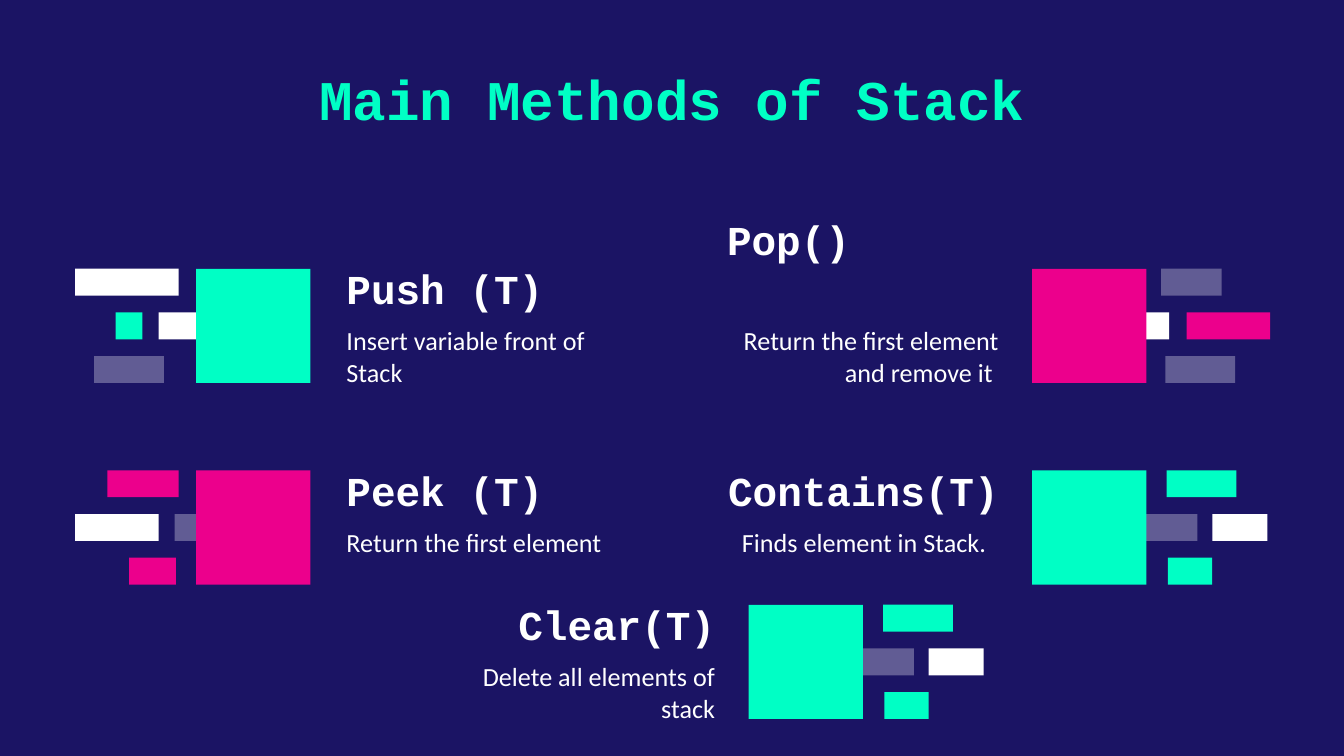
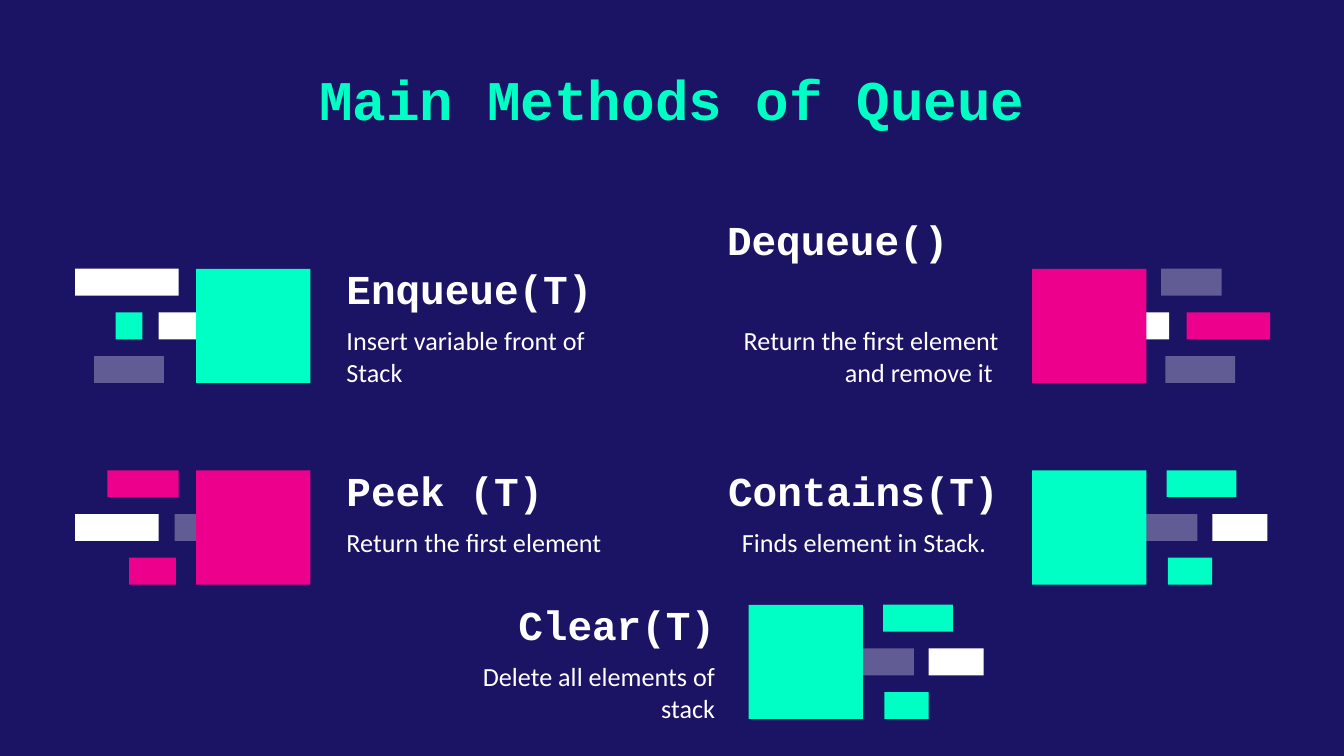
import pptx
import pptx.util
import pptx.dml.color
import pptx.enum.shapes
import pptx.enum.text
import pptx.oxml
import pptx.oxml.ns

COLORS = {"navy": "1B1464", "mint": "00FFC5", "pink": "EC008C", "white": "FFFFFF"}
ALIGN = pptx.enum.text.PP_ALIGN
ANCHOR = pptx.enum.text.MSO_ANCHOR

WIDTH, HEIGHT = pptx.util.Inches(10), pptx.util.Inches(5.625)
COLUMN = WIDTH / 100
ROW = HEIGHT / 56.25

SIDE = 8.5
BAR_HEIGHT = 2
BAR_STEP = (SIDE - BAR_HEIGHT) / 2
TEXT_WIDTH = 23.7
TEXT_OFFSET = {"left": -25.2, "right": 10.2}

TITLE_FONT = {"name": "Courier New", "size": pptx.util.Pt(30), "bold": True}
METHOD_FONT = {"name": "Courier New", "size": pptx.util.Pt(22), "bold": True}
DETAIL_FONT = {"name": "Calibri", "size": pptx.util.Pt(14), "bold": False}

MINT_BARS = [(0, 10, 5.2, "mint"), (1, 7.8, 4.5, "haze"),
             (1, 13.4, 4.1, "white"), (2, 10.1, 3.3, "mint")]
CARDS = [
    {"at": (14.6, 20), "color": "mint", "text_side": "right",
     "bars": [(0, -9, 7.7, "white"), (1, -6, 2, "mint"),
              (1, -2.8, 3.5, "white"), (2, -7.6, 5.2, "haze")]},
    {"at": (76.8, 20), "color": "pink", "text_side": "left",
     "bars": [(0, 9.6, 4.5, "haze"), (1, 7.8, 2.4, "white"),
              (1, 11.5, 6.2, "pink"), (2, 9.9, 5.2, "haze")],
     "method_align": ALIGN.LEFT, "method_insets": (2.5, 0, 0, 3.7)},
    {"at": (14.6, 35), "color": "pink", "text_side": "right",
     "bars": [(0, -6.6, 5.3, "pink"), (1, -9, 6.2, "white"),
              (1, -1.6, 2.4, "haze"), (2, -5, 3.5, "pink")]},
    {"at": (76.8, 35), "color": "mint", "text_side": "left", "bars": MINT_BARS,
     "detail_insets": (1, 0, 1.9, 1)},
    {"at": (55.7, 45), "color": "mint", "text_side": "left", "bars": MINT_BARS},
]

DETAILS = ["Insert variable front of Stack", "Return the first element and remove it ",
           "Return the first element", "Finds element in Stack.",
           "Delete all elements of stack"]
SLIDES = {
    "Main Methods of Stack": ["Push (T)", "Pop()", "Peek (T)", "Contains(T)", "Clear(T)"],
    "Main Methods of Queue": ["Enqueue(T)", "Dequeue()", "Peek (T)", "Contains(T)", "Clear(T)"],
}


def grid_box(left, top, width, height):
    return [round(left * COLUMN), round(top * ROW), round(width * COLUMN), round(height * ROW)]


def set_all(target, values):
    for name, value in values.items():
        setattr(target, name, value)


def rgb(color):
    return pptx.dml.color.RGBColor.from_string(COLORS[color])


def write(holder, text, font, color, align, anchor, insets):
    frame = holder.text_frame
    margins = [round(inset * COLUMN) for inset in insets]
    names = ("margin_left", "margin_top", "margin_right", "margin_bottom")
    set_all(frame, {"word_wrap": True, "auto_size": pptx.enum.text.MSO_AUTO_SIZE.NONE,
                    "vertical_anchor": anchor, **dict(zip(names, margins))})
    paragraph = frame.paragraphs[0]
    paragraph.alignment = align
    run = paragraph.add_run()
    run.text = text
    set_all(run.font, font)
    run.font.color.rgb = rgb(color)


def add_block(slide, box, color):
    block = slide.shapes.add_shape(pptx.enum.shapes.MSO_SHAPE.RECTANGLE, *grid_box(*box))
    block.shadow.inherit = False
    block.line.fill.background()
    block.fill.solid()
    block.fill.fore_color.rgb = rgb("white" if color == "haze" else color)
    if color == "haze":
        tint = block.fill._xPr.find(".//" + pptx.oxml.ns.qn("a:srgbClr"))
        alpha = pptx.oxml.parse_xml(f'<a:alpha {pptx.oxml.ns.nsdecls("a")} val="31000"/>')
        tint.append(alpha)


def add_title(slide, text):
    title = slide.shapes.title
    set_all(title, dict(zip(("left", "top", "width", "height"), grid_box(14, 3.8, 72, 7.3))))
    write(title, text, TITLE_FONT, "mint", ALIGN.CENTER, ANCHOR.TOP, (1, 1, 1, 1))


def add_card(slide, card, method, detail):
    left, top = card["at"]
    for row, offset, width, color in card["bars"]:
        add_block(slide, (left + offset, top + row * BAR_STEP, width, BAR_HEIGHT), color)
    add_block(slide, (left, top, SIDE, SIDE), card["color"])

    text_left = left + TEXT_OFFSET[card["text_side"]]
    align = ALIGN.LEFT if card["text_side"] == "right" else ALIGN.RIGHT
    heading = slide.shapes.add_textbox(*grid_box(text_left, top - 0.6, TEXT_WIDTH, 3.9))
    write(heading, method, METHOD_FONT, "white", card.get("method_align", align),
          ANCHOR.BOTTOM, card.get("method_insets", (1, 0, 1, 0)))
    description = slide.shapes.add_textbox(*grid_box(text_left, top + 4.15, TEXT_WIDTH, 4.5))
    write(description, detail, DETAIL_FONT, "white", align,
          ANCHOR.TOP, card.get("detail_insets", (1, 0, 1, 1)))


def add_methods_slide(deck, title, methods):
    slide = deck.slides.add_slide(deck.slide_layouts[5])
    add_title(slide, title)
    for card, method, detail in zip(CARDS, methods, DETAILS):
        add_card(slide, card, method, detail)


def main():
    deck = pptx.Presentation()
    set_all(deck, {"slide_width": WIDTH, "slide_height": HEIGHT})
    backdrop = deck.slide_master.background.fill
    backdrop.solid()
    backdrop.fore_color.rgb = rgb("navy")
    for title, methods in SLIDES.items():
        add_methods_slide(deck, title, methods)
    deck.save("out.pptx")


if __name__ == "__main__":
    main()
